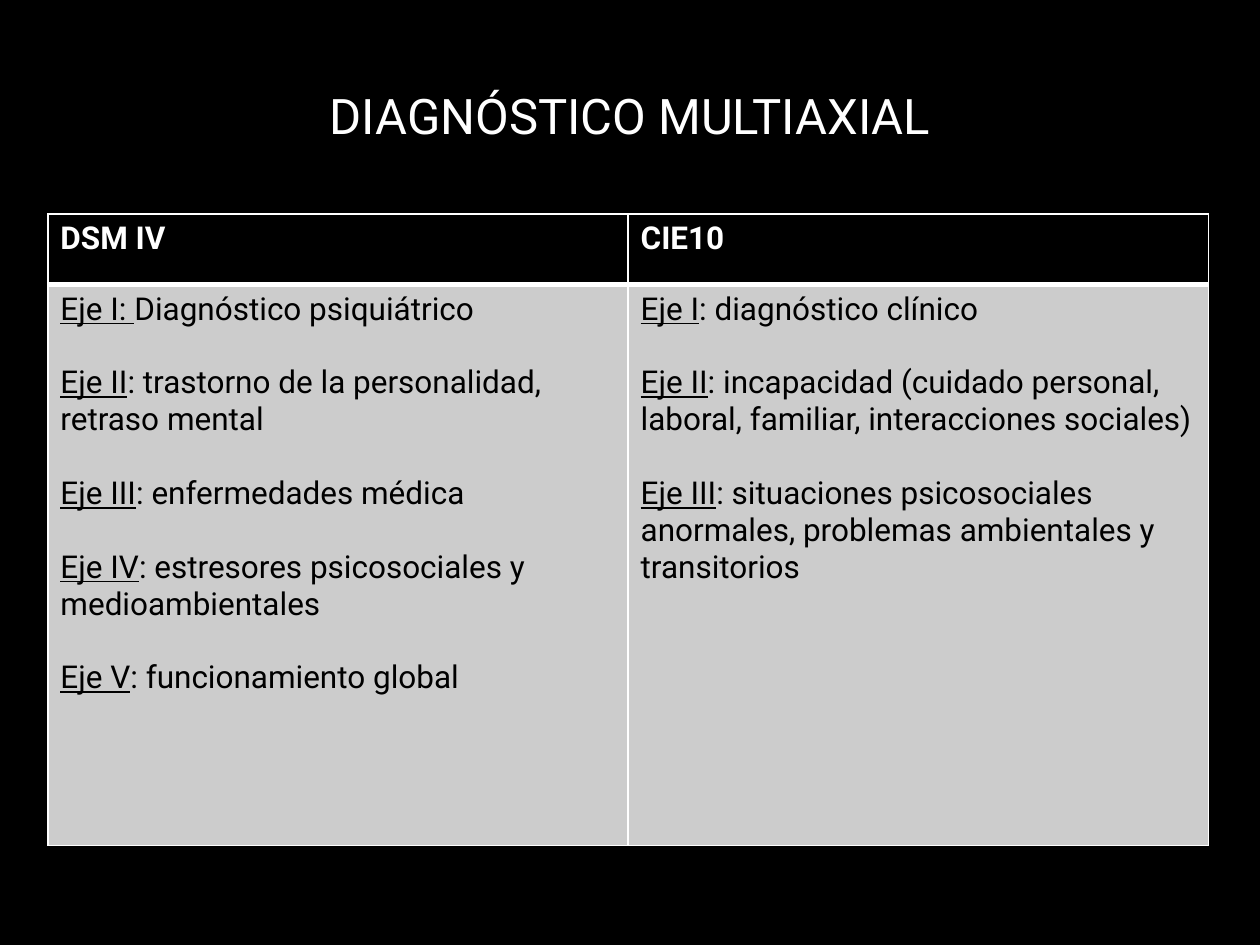
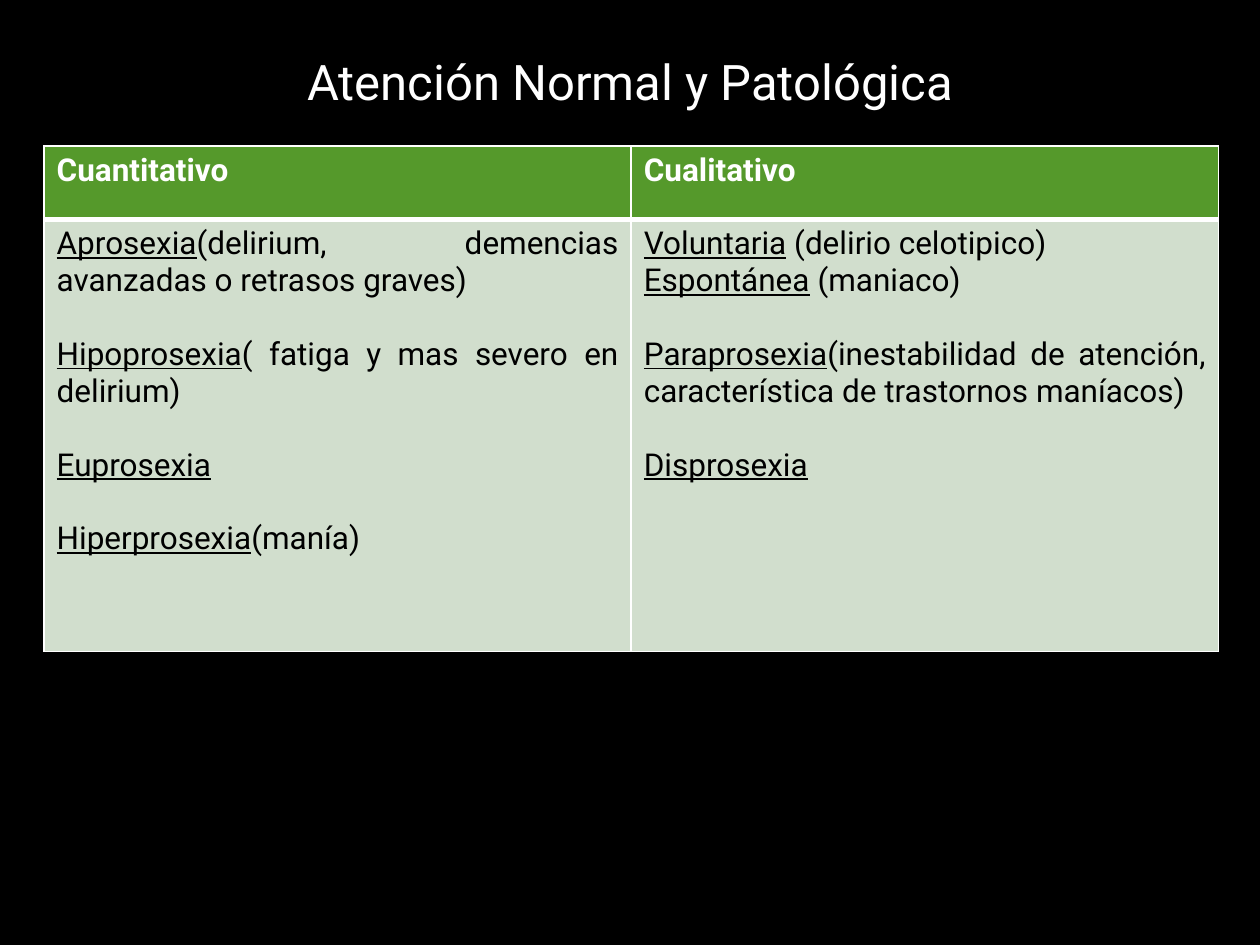
from dataclasses import dataclass

from lxml import etree
from pptx import Presentation
from pptx.dml.color import RGBColor
from pptx.enum import text
from pptx.oxml import ns
from pptx.util import Inches, Pt


@dataclass(frozen=True)
class Theme:
    font: str = "Roboto"
    black: str = "000000"
    white: str = "FFFFFF"
    gray: str = "CCCCCC"
    green: str = "55992B"
    pale_green: str = "D1DECD"
    title_size: int = 28
    table_size: int = 18
    line_gap: int = 21
    thin: int = 1
    thick: int = 3


theme = Theme()


def set_font(paragraph, size, color, bold=False):
    paragraph.font.name = theme.font
    paragraph.font.size = Pt(size)
    paragraph.font.color.rgb = RGBColor.from_string(color)
    paragraph.font.bold = bold


def style_cell(cell, fill, top, bottom):
    """Draw the white borders, then the fill, in the order the schema asks for."""
    properties = cell._tc.get_or_add_tcPr()
    widths = {"lnL": theme.thin, "lnR": theme.thin, "lnT": top, "lnB": bottom}
    for side, width in widths.items():
        line = etree.SubElement(properties, ns.qn(f"a:{side}"), w=str(Pt(width)))
        solid = etree.SubElement(line, ns.qn("a:solidFill"))
        etree.SubElement(solid, ns.qn("a:srgbClr"), val=theme.white)
    cell.fill.solid()
    cell.fill.fore_color.rgb = RGBColor.from_string(fill)


# Each column is a heading and its entries; an entry is (underlined term, explanation).
# Entries in the same group follow each other without a gap.
comparisons = [
    {
        "title": "DIAGNÓSTICO MULTIAXIAL",
        "title_height": 1.56,
        "table": (0.38, 1.7, 9.21),
        "rows": (0.56, 4.45),
        "fills": (theme.black, theme.gray),
        "alignment": text.PP_ALIGN.LEFT,
        "columns": [
            ("DSM IV", [
                [("Eje I: ", "Diagnóstico psiquiátrico")],
                [("Eje II", ": trastorno de la personalidad, retraso mental")],
                [("Eje III", ": enfermedades médica")],
                [("Eje IV", ": estresores psicosociales y medioambientales")],
                [("Eje V", ": funcionamiento global")],
            ]),
            ("CIE10", [
                [("Eje I", ": diagnóstico clínico")],
                [("Eje II", ": incapacidad (cuidado personal, laboral, familiar, "
                            "interacciones sociales)")],
                [("Eje III", ": situaciones psicosociales anormales, "
                             "problemas ambientales y transitorios")],
            ]),
        ],
    },
    {
        "title": "Atención Normal y Patológica",
        "title_height": 1.03,
        "table": (0.35, 1.16, 9.32),
        "rows": (0.58, 3.43),
        "fills": (theme.green, theme.pale_green),
        "alignment": text.PP_ALIGN.JUSTIFY,
        "columns": [
            ("Cuantitativo", [
                [("Aprosexia", "(delirium, demencias avanzadas o retrasos graves)")],
                [("Hipoprosexia", "( fatiga y mas severo en delirium)")],
                [("Euprosexia", "")],
                [("Hiperprosexia", "(manía)")],
            ]),
            ("Cualitativo", [
                [("Voluntaria", " (delirio celotipico)"), ("Espontánea", " (maniaco)")],
                [("Paraprosexia", "(inestabilidad de atención, "
                                  "característica de trastornos maníacos)")],
                [("Disprosexia", "")],
            ]),
        ],
    },
]

presentation = Presentation()
presentation.slide_width = Inches(10)
presentation.slide_height = Inches(7.5)

for comparison in comparisons:
    slide = presentation.slides.add_slide(presentation.slide_layouts[6])
    slide.background.fill.solid()
    slide.background.fill.fore_color.rgb = RGBColor.from_string(theme.black)

    title = slide.shapes.add_textbox(
        Inches(0.75), Inches(0.13), Inches(8.5), Inches(comparison["title_height"]))
    title.text_frame.word_wrap = True
    title.text_frame.vertical_anchor = text.MSO_ANCHOR.MIDDLE
    paragraph = title.text_frame.paragraphs[0]
    paragraph.text = comparison["title"]
    paragraph.alignment = text.PP_ALIGN.CENTER
    set_font(paragraph, theme.title_size, theme.white)

    left, top, width = comparison["table"]
    columns = comparison["columns"]
    table = slide.shapes.add_table(
        2, len(columns), Inches(left), Inches(top), Inches(width),
        Inches(sum(comparison["rows"]))).table
    table.horz_banding = False
    for row, height in zip(table.rows, comparison["rows"]):
        row.height = Inches(height)

    header_fill, body_fill = comparison["fills"]
    for index, (heading, groups) in enumerate(columns):
        header = table.cell(0, index)
        style_cell(header, header_fill, theme.thin, theme.thick)
        paragraph = header.text_frame.paragraphs[0]
        paragraph.text = heading
        set_font(paragraph, theme.table_size, theme.white, bold=True)

        body = table.cell(1, index)
        style_cell(body, body_fill, theme.thick, theme.thin)
        paragraph = body.text_frame.paragraphs[0]
        for group_index, group in enumerate(groups):
            for entry_index, (term, explanation) in enumerate(group):
                if group_index or entry_index:
                    paragraph = body.text_frame.add_paragraph()
                    paragraph.space_before = Pt(0 if entry_index else theme.line_gap)
                paragraph.alignment = comparison["alignment"]
                set_font(paragraph, theme.table_size, theme.black)
                run = paragraph.add_run()
                run.text = term
                run.font.underline = True
                if explanation:
                    paragraph.add_run().text = explanation

presentation.save("out.pptx")
